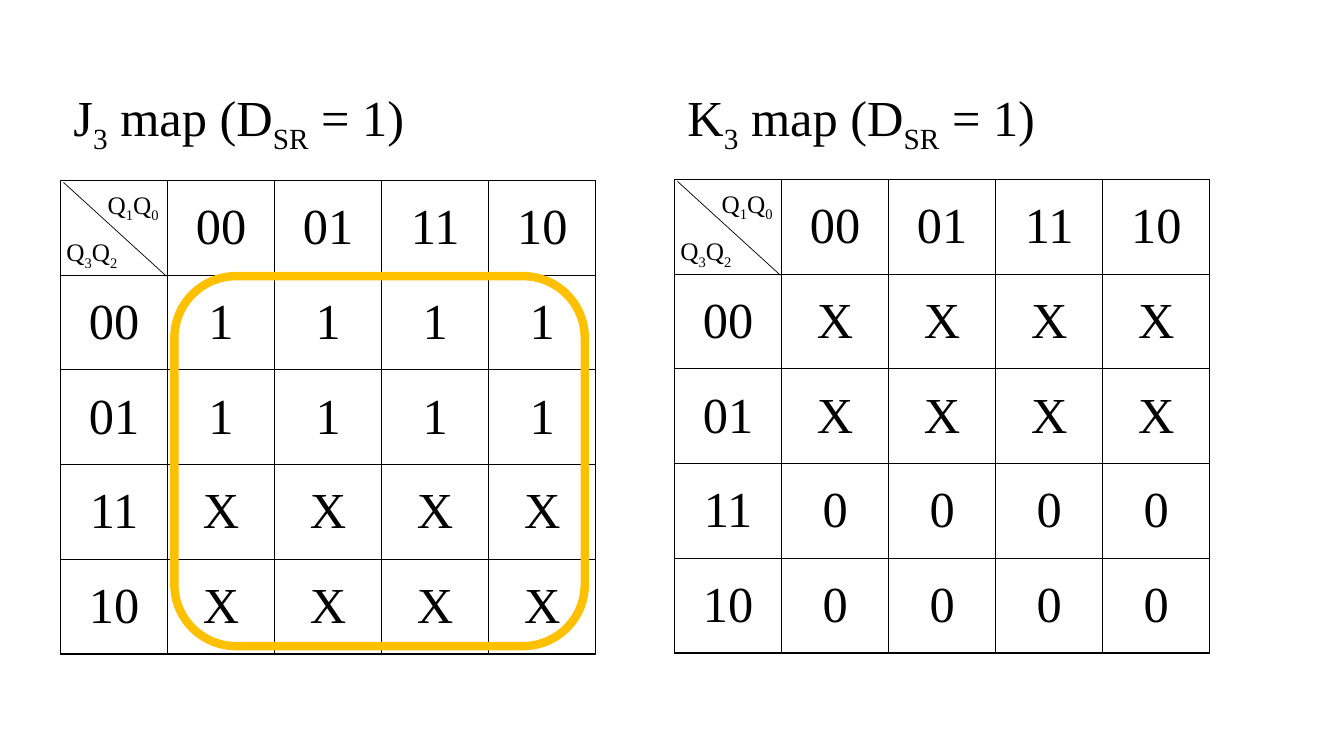
import pptx
import pptx.util
import pptx.dml.color
import pptx.enum.shapes
import pptx.enum.text
import pptx.oxml
import pptx.oxml.ns
import lxml.etree

Inches, Pt = pptx.util.Inches, pptx.util.Pt
BLACK = pptx.dml.color.RGBColor(0x00, 0x00, 0x00)
AMBER = pptx.dml.color.RGBColor(0xFF, 0xC0, 0x00)
FONT = "Times New Roman"
GRAY_CODE = ["00", "01", "11", "10"]
MAP_SIZE = 5.31
ROW_HEIGHT = 0.94

CELL_FORMAT = {
    "margin_left": Inches(0.08),
    "margin_right": Inches(0.08),
    "margin_top": Inches(0.04),
    "margin_bottom": Inches(0.04),
    "vertical_anchor": pptx.enum.text.MSO_ANCHOR.MIDDLE,
}
LABEL_FORMAT = {
    "word_wrap": False,
    "auto_size": pptx.enum.text.MSO_AUTO_SIZE.SHAPE_TO_FIT_TEXT,
}

# Each map: left, top, title parts (every second part is a subscript), rows
MAPS = [
    (0.60, 1.79, 3.59, ["J", "3", " map (D", "SR", " = 1)"], "11XX"),
    (6.69, 1.78, 3.76, ["K", "3", " map (D", "SR", " = 1)"], "XX00"),
]

presentation = pptx.Presentation()
presentation.slide_width = Inches(13.33)
presentation.slide_height = Inches(7.5)
slide = presentation.slides.add_slide(presentation.slide_layouts[6])


def add_run(paragraph, text, size):
    run = paragraph.add_run()
    run.text = text
    for name, value in {"name": FONT, "size": Pt(size)}.items():
        setattr(run.font, name, value)
    run.font.color.rgb = BLACK
    return run


def add_label(left, top, width, height, size, parts):
    label = slide.shapes.add_textbox(Inches(left), Inches(top), Inches(width), Inches(height))
    for name, value in LABEL_FORMAT.items():
        setattr(label.text_frame, name, value)
    for index, part in enumerate(parts):
        run = add_run(label.text_frame.paragraphs[0], part, size)
        if index % 2:
            run.font._element.set("baseline", "-25000")


for left, top, title_width, title, row_values in MAPS:
    # Map grid
    grid = slide.shapes.add_table(
        5, 5, Inches(left), Inches(top), Inches(MAP_SIZE), Inches(5 * ROW_HEIGHT)
    ).table
    for column in grid.columns:
        column.width = Inches(MAP_SIZE / 5)
    for row in grid.rows:
        row.height = Inches(ROW_HEIGHT)
    content = [[""] + GRAY_CODE]
    content += [[code] + [value] * 4 for code, value in zip(GRAY_CODE, row_values)]
    for row_index, row_texts in enumerate(content):
        for column_index, text in enumerate(row_texts):
            cell = grid.cell(row_index, column_index)
            for name, value in CELL_FORMAT.items():
                setattr(cell, name, value)
            if text:
                paragraph = cell.text_frame.paragraphs[0]
                paragraph.alignment = pptx.enum.text.PP_ALIGN.CENTER
                add_run(paragraph, text, 36)
            for side in ("lnL", "lnR", "lnT", "lnB"):
                cell._tc.get_or_add_tcPr().append(pptx.oxml.parse_xml(
                    f'<a:{side} {pptx.oxml.ns.nsdecls("a")} w="{Pt(1)}"><a:solidFill>'
                    f'<a:srgbClr val="{BLACK}"/></a:solidFill></a:{side}>'
                ))
            cell.fill.background()

    # Title
    add_label(left + 0.03, 0.81, title_width, 0.71, 36, title)

    # Corner cell: diagonal with the row and column variables
    diagonal = slide.shapes.add_connector(
        pptx.enum.shapes.MSO_CONNECTOR.STRAIGHT,
        Inches(left + 0.03), Inches(top + 0.02), Inches(left + 1.05), Inches(top + 0.95),
    )
    diagonal.line.color.rgb = BLACK
    diagonal.line.width = Pt(0.5)
    lxml.etree.SubElement(diagonal._element.spPr, pptx.oxml.ns.qn("a:effectLst"))
    add_label(left - 0.04, top + 0.51, 0.73, 0.4, 18, ["Q", "3", "Q", "2"])
    add_label(left + 0.37, top + 0.04, 0.73, 0.4, 18, ["Q", "1", "Q", "0"])

# Loop around the grouped terms of the J map
group_loop = slide.shapes.add_shape(
    pptx.enum.shapes.MSO_SHAPE.ROUNDED_RECTANGLE,
    Inches(1.73), Inches(2.74), Inches(4.07), Inches(3.67),
)
group_loop.shadow.inherit = False
group_loop.fill.background()
group_loop.line.color.rgb = AMBER
group_loop.line.width = Pt(6)

presentation.save("out.pptx")
